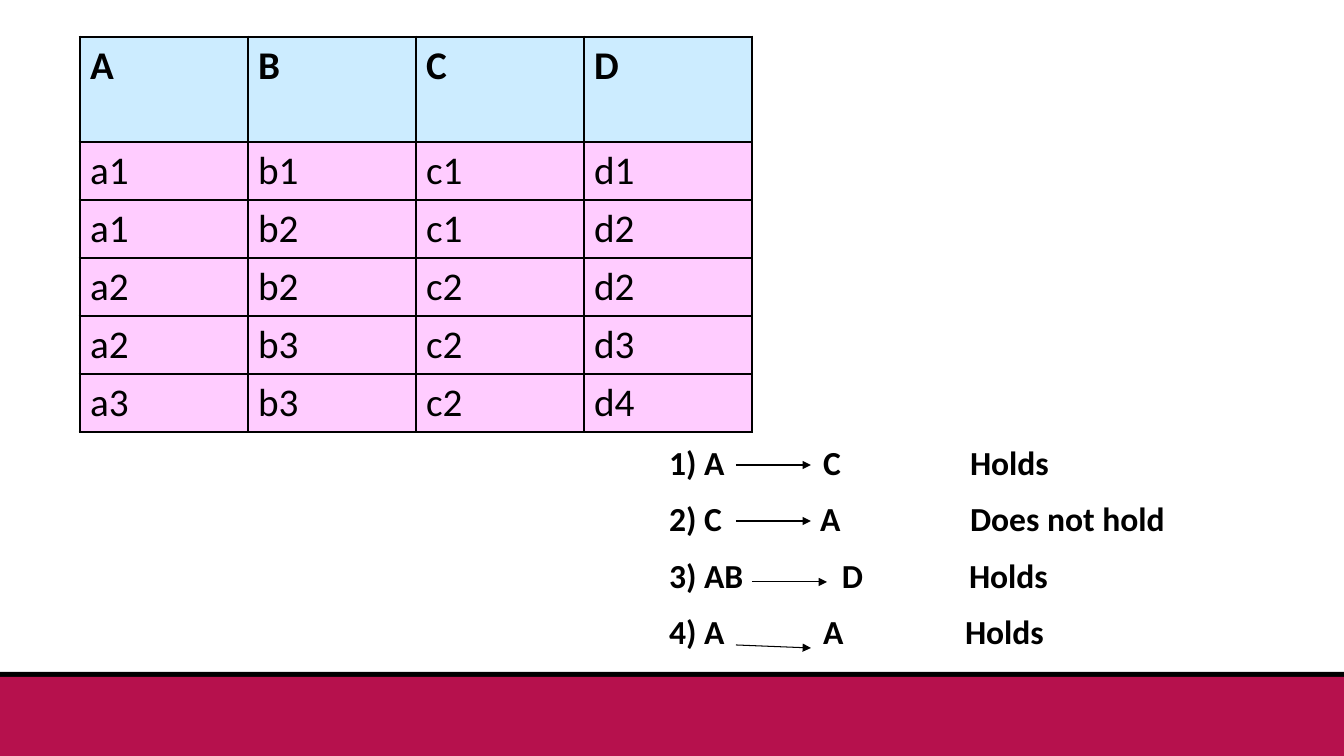
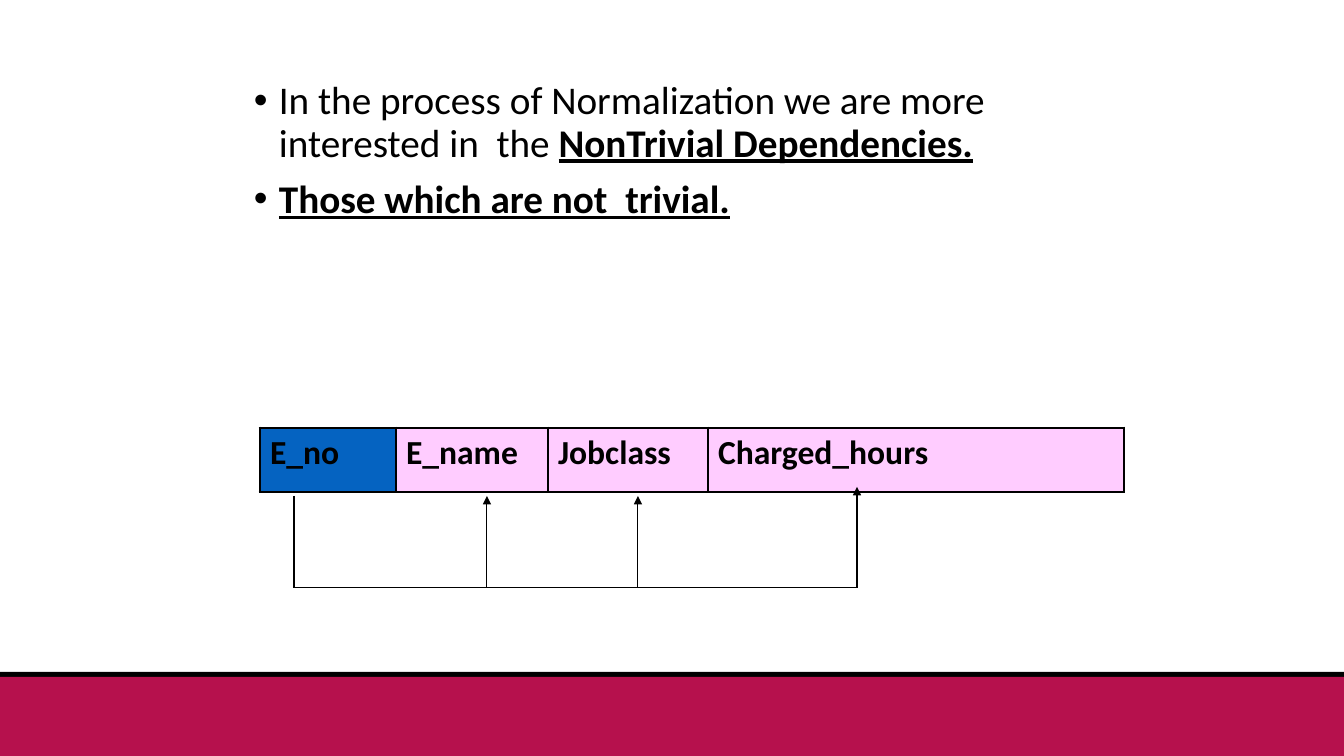
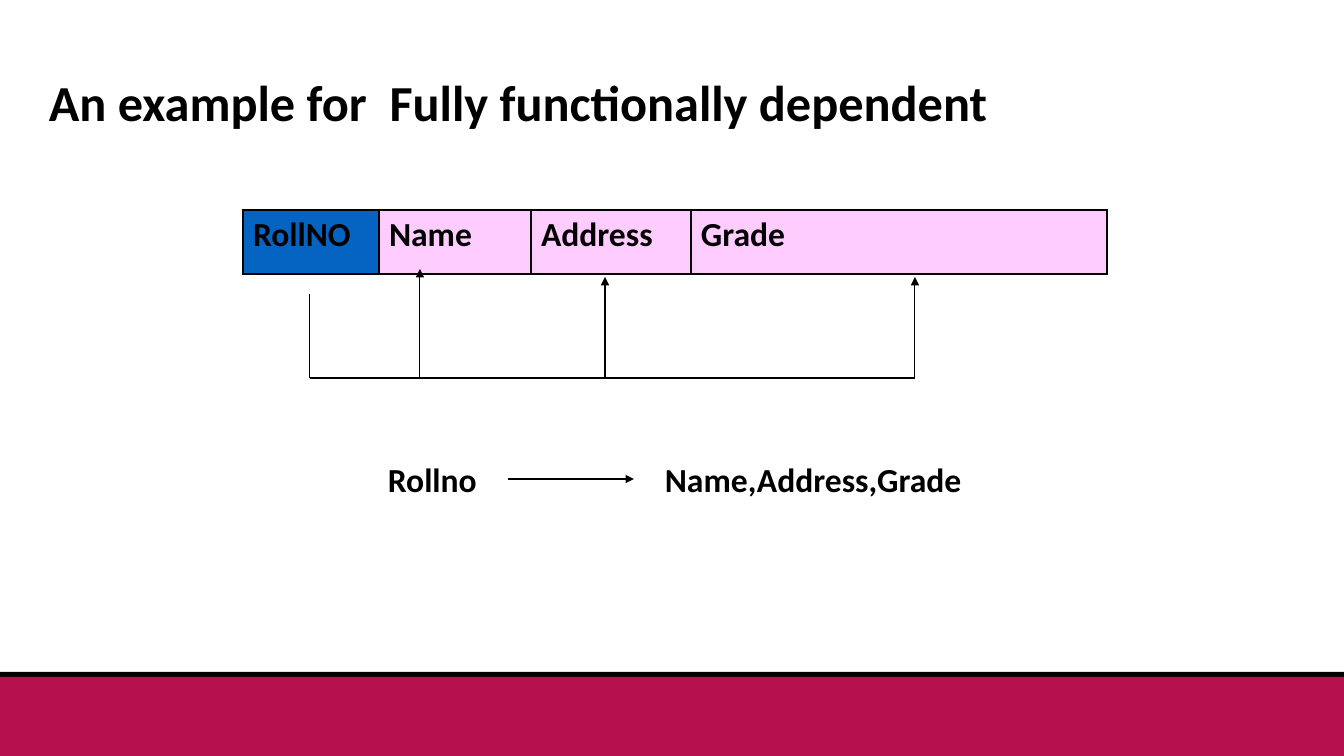
from dataclasses import dataclass
from typing import Optional, Sequence

from lxml.etree import SubElement
from pptx import Presentation
from pptx.dml.color import RGBColor
from pptx.enum.shapes import MSO_CONNECTOR, MSO_SHAPE
from pptx.enum.text import MSO_ANCHOR
from pptx.oxml.ns import qn
from pptx.util import Emu, Pt

PAGE_WIDTH, PAGE_HEIGHT = 1344, 756
EMU_PER_PX = 914400 / 100.8


@dataclass(frozen=True)
class Theme:
    font: str = "Calibri"
    ink: str = "000000"
    paper: str = "FFFFFF"
    band: str = "B6114D"
    header: str = "CCECFF"
    cell: str = "FFCCFF"
    key: str = "0563C1"
    title: int = 36
    body: int = 28
    label: int = 24
    thin: float = 0.75
    inner: float = 1
    outer: float = 2.25


@dataclass(frozen=True)
class Area:
    left: int
    top: int
    width: int
    height: int

    def emu(self) -> tuple[Emu, ...]:
        return tuple(map(px, (self.left, self.top, self.width, self.height)))


@dataclass(frozen=True)
class Dependency:
    """One numbered line; tab stops are measured from its start."""
    source: str
    target: str
    verdict: str
    target_tab: int
    verdict_tab: int
    arrow: tuple[int, int, int, int]


@dataclass(frozen=True)
class Target:
    x: int
    tip: int


@dataclass(frozen=True)
class Bracket:
    """A key attribute joined by a rail to the attributes that depend on it."""
    x: int
    top: int
    rail: int
    targets: tuple[Target, ...]


THEME = Theme()
ATTRIBUTE_WIDTHS = (136, 152, 160, 416)
ATTRIBUTE_HEIGHT = 64

RELATION = (
    ("A", "B", "C", "D"),
    ("a1", "b1", "c1", "d1"),
    ("a1", "b2", "c1", "d2"),
    ("a2", "b2", "c2", "d2"),
    ("a2", "b3", "c2", "d3"),
    ("a3", "b3", "c2", "d4"),
)
DEPENDENCIES = (
    Dependency("A", "C", "Holds", 154, 301, (736, 465, 811, 465)),
    Dependency("C", "A", "Does not hold", 151, 301, (736, 521, 811, 521)),
    Dependency("AB", "D", "Holds", 173, 300, (752, 582, 827, 582)),
    Dependency("A", "A", "Holds", 154, 296, (736, 645, 811, 648)),
)
EMPLOYEE_BRACKET = Bracket(
    294, 496, 588, (Target(487, 496), Target(638, 496), Target(857, 487)))
STUDENT_BRACKET = Bracket(
    310, 294, 378, (Target(420, 269), Target(605, 277), Target(915, 277)))


def px(length: float) -> Emu:
    return Emu(round(length * EMU_PER_PX))


def rgb(colour: str) -> RGBColor:
    return RGBColor.from_string(colour)


def add_band(page, area: Area, colour: str) -> None:
    band = page.shapes.add_shape(MSO_SHAPE.RECTANGLE, *area.emu())
    band.shadow.inherit = False
    band.fill.solid()
    band.fill.fore_color.rgb = rgb(colour)
    band.line.fill.background()


def add_page(deck):
    page = deck.slides.add_slide(deck.slide_layouts[6])
    page.background.fill.solid()
    page.background.fill.fore_color.rgb = rgb(THEME.paper)
    add_band(page, Area(0, 672, PAGE_WIDTH, 84), THEME.ink)
    add_band(page, Area(0, 677, PAGE_WIDTH, 79), THEME.band)
    return page


def add_frame(page, area: Area, anchor: MSO_ANCHOR = MSO_ANCHOR.TOP):
    frame = page.shapes.add_textbox(*area.emu()).text_frame
    frame.word_wrap = True
    frame.vertical_anchor = anchor
    return frame


def add_span(para, text: str, *, size: int = THEME.label, bold: bool = True,
             underline: Optional[bool] = None) -> None:
    span = para.add_run()
    span.text = text
    font = span.font
    font.name, font.size, font.bold = THEME.font, Pt(size), bold
    font.underline = underline
    font.color.rgb = rgb(THEME.ink)


def add_paragraph(frame, space_before: float = 0):
    """Use the frame's first paragraph while it is empty, else add one."""
    first = frame.paragraphs[0]
    if not first.runs:
        return first
    para = frame.add_paragraph()
    para.space_before = Pt(space_before)
    return para


def set_bullet(para, indent: int) -> None:
    properties = para._p.get_or_add_pPr()
    properties.set("marL", str(px(indent)))
    properties.set("indent", str(-px(indent)))
    SubElement(properties, qn("a:buFont"), typeface="Arial")
    SubElement(properties, qn("a:buChar"), char="•")


def set_tabs(para, stops: Sequence[int]) -> None:
    tabs = SubElement(para._p.get_or_add_pPr(), qn("a:tabLst"))
    for stop in stops:
        SubElement(tabs, qn("a:tab"), pos=str(px(stop)), algn="l")


def add_label(page, area: Area, text: str) -> None:
    add_span(add_paragraph(add_frame(page, area)), text)


def add_line(page, ends: tuple[int, int, int, int], arrow: bool = False) -> None:
    line = page.shapes.add_connector(MSO_CONNECTOR.STRAIGHT, *map(px, ends))
    line.line.width = Pt(THEME.thin)
    line.line.color.rgb = rgb(THEME.ink)
    if arrow:
        SubElement(line.line._get_or_add_ln(), qn("a:tailEnd"), type="triangle")
    SubElement(line._element.spPr, qn("a:effectLst"))


def add_bracket(page, bracket: Bracket) -> None:
    end = max(target.x for target in bracket.targets)
    add_line(page, (bracket.x, bracket.top, bracket.x, bracket.rail))
    add_line(page, (bracket.x, bracket.rail, end, bracket.rail))
    for target in bracket.targets:
        add_line(page, (target.x, bracket.rail, target.x, target.tip), arrow=True)


def set_borders(cell, outer_sides: dict[str, bool]) -> None:
    properties = cell._tc.get_or_add_tcPr()
    for side, is_outer in outer_sides.items():
        width = Pt(THEME.outer if is_outer else THEME.inner)
        border = SubElement(properties, qn(f"a:ln{side}"), w=str(width))
        fill = SubElement(border, qn("a:solidFill"))
        SubElement(fill, qn("a:srgbClr"), val=THEME.ink)


def add_grid(page, left: int, top: int, rows: Sequence[Sequence[str]],
             widths: Sequence[int], heights: Sequence[int], size: int,
             header: Optional[str] = None, key: Optional[str] = None) -> None:
    """Draw a table; header colours its first row, key its first cell."""
    area = Area(left, top, sum(widths), sum(heights))
    table = page.shapes.add_table(len(rows), len(widths), *area.emu()).table
    table.first_row = table.horz_banding = False
    for column, width in zip(table.columns, widths):
        column.width = px(width)
    for row, height in zip(table.rows, heights):
        row.height = px(height)
    for r, texts in enumerate(rows):
        for c, text in enumerate(texts):
            cell = table.cell(r, c)
            set_borders(cell, {"L": c == 0, "R": c == len(widths) - 1,
                               "T": r == 0, "B": r == len(rows) - 1})
            colour = (key if r == c == 0 else None) or (header if r == 0 else None)
            cell.fill.solid()
            cell.fill.fore_color.rgb = rgb(colour or THEME.cell)
            add_span(cell.text_frame.paragraphs[0], text, size=size, bold=r == 0)


def add_attributes(page, left: int, top: int, names: Sequence[str]) -> None:
    add_grid(page, left, top, [names], ATTRIBUTE_WIDTHS, [ATTRIBUTE_HEIGHT],
             THEME.label, key=THEME.key)


def build_relation(deck) -> None:
    page = add_page(deck)
    add_grid(page, 80, 37, RELATION, [168] * 4, [105] + [58] * 5, THEME.body,
             header=THEME.header)
    frame = add_frame(page, Area(629, 437, 690, 234))
    frame.margin_left = px(40)
    for number, item in enumerate(DEPENDENCIES, start=1):
        para = add_paragraph(frame, space_before=11.5)
        set_tabs(para, (item.target_tab, item.verdict_tab))
        add_span(para, f"{number}) {item.source}\t{item.target}\t{item.verdict}")
        add_line(page, item.arrow, arrow=True)


def build_nontrivial(deck) -> None:
    page = add_page(deck)
    frame = add_frame(page, Area(244, 76, 857, 597))
    bullets = (
        (("In the process of Normalization we are more interested in  the ", False),
         ("NonTrivial Dependencies.", True)),
        (("Those which are not  trivial.", True),),
    )
    for spans in bullets:
        para = add_paragraph(frame, space_before=10)
        set_bullet(para, 25)
        para.line_spacing = 0.9
        for text, strong in spans:
            add_span(para, text, size=THEME.body, bold=strong, underline=strong)
    add_attributes(page, 260, 428, ("E_no", "E_name", "Jobclass", "Charged_hours"))
    add_bracket(page, EMPLOYEE_BRACKET)


def build_full_dependency(deck) -> None:
    page = add_page(deck)
    title = add_paragraph(add_frame(page, Area(39, 42, 1136, 126), MSO_ANCHOR.MIDDLE))
    title.line_spacing = 0.9
    add_span(title, "An example for  Fully functionally dependent", size=THEME.title)
    add_attributes(page, 243, 210, ("RollNO", "Name", "Address", "Grade"))
    add_bracket(page, STUDENT_BRACKET)
    add_label(page, Area(378, 454, 849, 50), "Rollno")
    add_line(page, (508, 479, 634, 479), arrow=True)
    add_label(page, Area(655, 454, 454, 50), "Name,Address,Grade")


def main() -> None:
    deck = Presentation()
    deck.slide_width, deck.slide_height = px(PAGE_WIDTH), px(PAGE_HEIGHT)
    build_relation(deck)
    build_nontrivial(deck)
    build_full_dependency(deck)
    deck.save("out.pptx")


if __name__ == "__main__":
    main()
